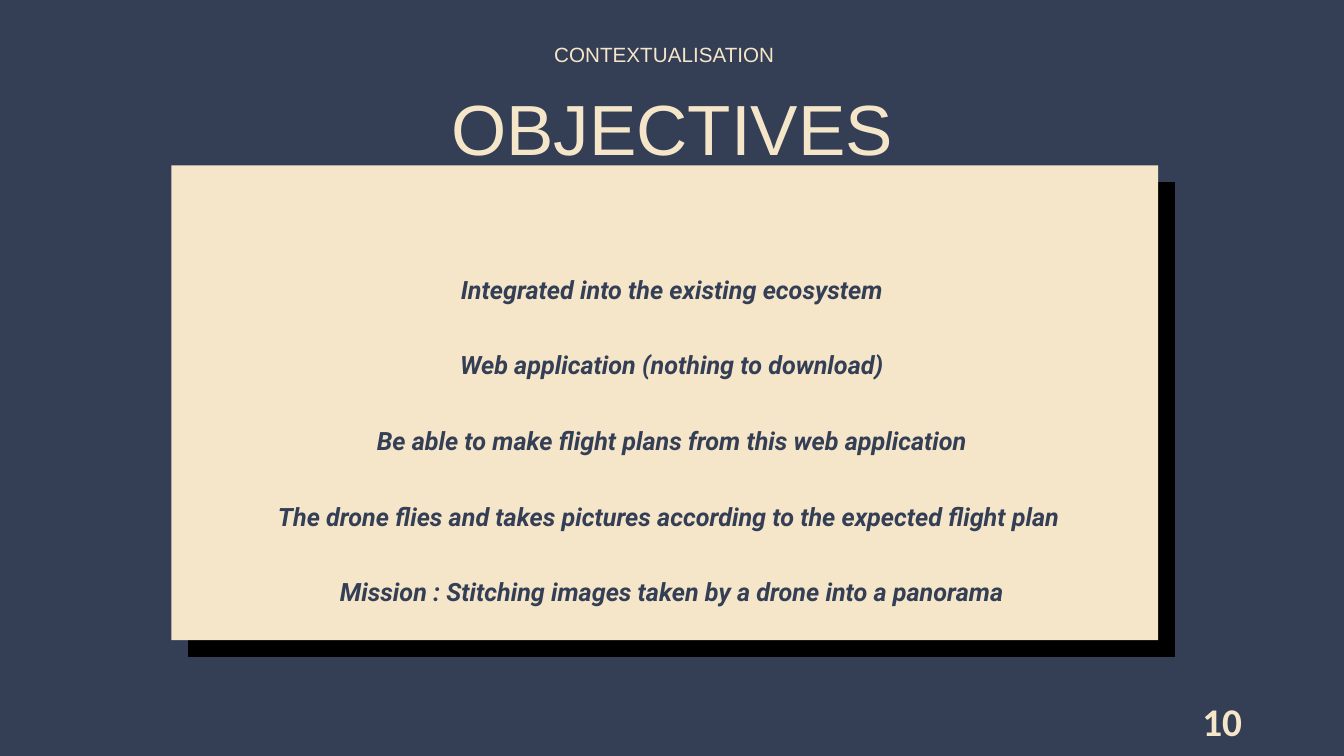
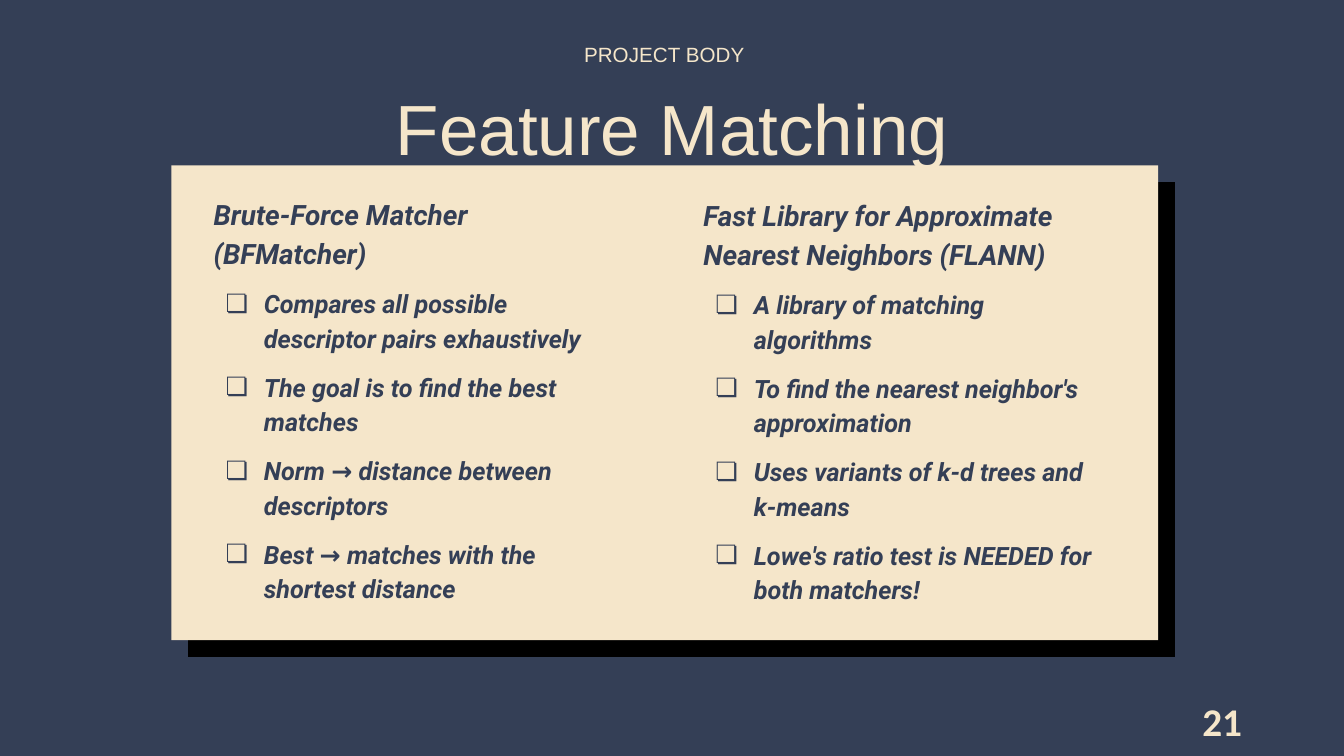
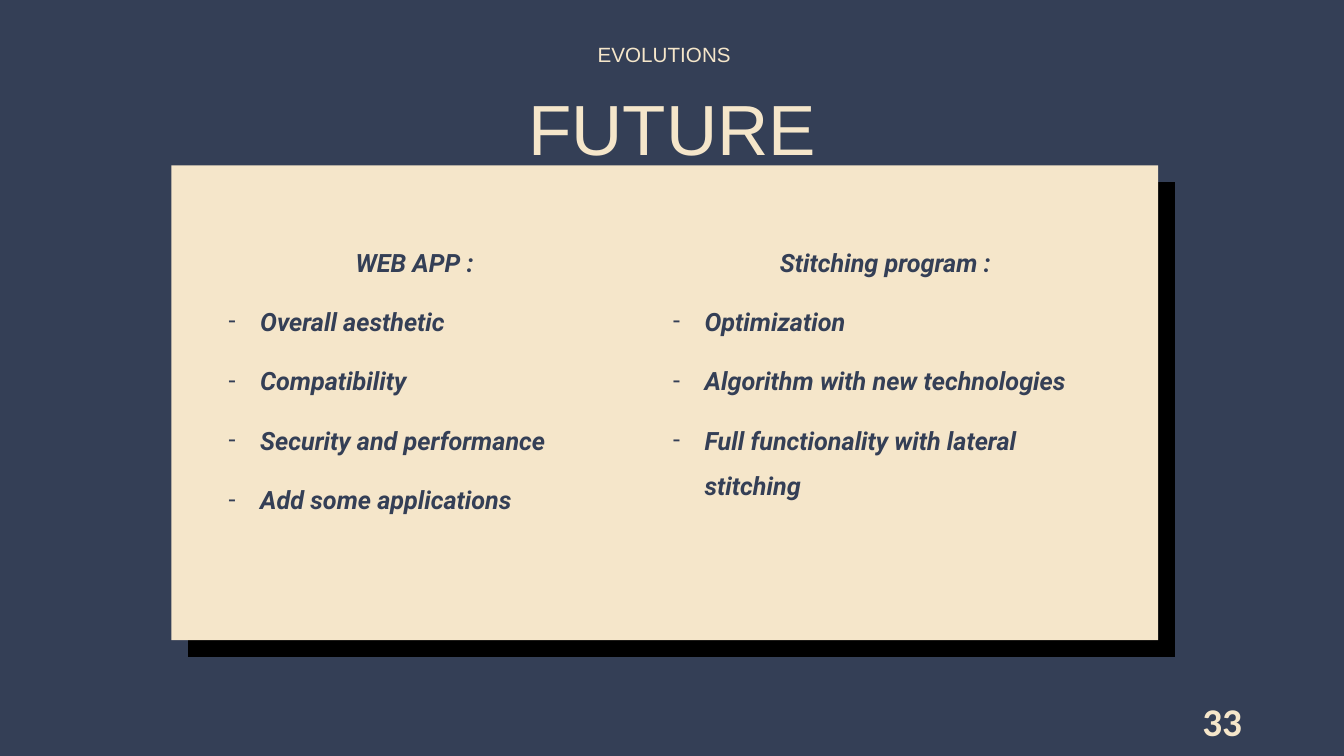
from dataclasses import dataclass

from lxml.etree import SubElement
from pptx import Presentation
from pptx.dml.color import RGBColor
from pptx.enum.shapes import MSO_SHAPE as Preset
from pptx.enum.text import MSO_ANCHOR as Anchor, MSO_AUTO_SIZE as AutoSize, PP_ALIGN as Align
from pptx.oxml.ns import qn
from pptx.util import Pt


@dataclass(frozen=True)
class Theme:
    """Colours, fonts and type sizes of the deck."""
    navy: str = "343F56"
    cream: str = "F5E6CA"
    shade: str = "000000"
    display: str = "Arial"
    body: str = "Roboto"
    number: str = "Calibri"
    title_size: float = 50.7
    section_size: float = 14.7
    heading_size: float = 20
    body_size: float = 18
    number_size: float = 28


@dataclass(frozen=True)
class ListStyle:
    """Look of a headed list column."""
    bullet: str
    left: float
    hanging: float
    line_spacing: float
    heading_size: float
    heading_align: Align
    grow: bool


class Deck:
    """Presentation with its theme and current page."""

    def __init__(self, theme):
        """Start an empty widescreen deck."""
        self.theme = theme
        self.deck = Presentation()
        self.deck.slide_width = Pt(960)
        self.deck.slide_height = Pt(540)
        self.page = None

    def add_page(self, number, section, title):
        """Add a page with its number, title, section name and panel."""
        theme = self.theme
        self.page = self.deck.slides.add_slide(self.deck.slide_layouts[6])
        fill = self.page.background.fill
        fill.solid()
        fill.fore_color.rgb = RGBColor.from_string(theme.navy)
        frame = self.add_box(678.24, 500.4, 216, 28.8, (7.2, 3.6))
        frame.vertical_anchor = Anchor.MIDDLE
        self.add_para(frame, str(number), theme.number, theme.number_size,
                      theme.cream, Align.RIGHT, bold=True)
        for text, size, place in (
            (title, theme.title_size, (145.44, 36, 669.6, 60.5)),
            (section, theme.section_size, (361.44, 23.04, 226.08, 18)),
        ):
            frame = self.add_box(*place, (0, 0), grow=True)
            self.add_para(frame, text, theme.display, size, theme.cream,
                          Align.CENTER, line_spacing=1.4)
        for offset, colour in ((12, theme.shade), (0, theme.cream)):
            self.add_panel(122.4 + offset, 118.08 + offset, 704.88, 339.12, colour)

    def add_panel(self, left, top, width, height, colour):
        """Add a plain filled rectangle."""
        panel = self.page.shapes.add_shape(
            Preset.RECTANGLE, Pt(left), Pt(top), Pt(width), Pt(height))
        panel.shadow.inherit = False
        panel.fill.solid()
        panel.fill.fore_color.rgb = RGBColor.from_string(colour)
        panel.line.fill.background()

    def add_box(self, left, top, width, height, insets=(7.2, 3.6), grow=False):
        """Add a wrapping text box and return its text frame."""
        box = self.page.shapes.add_textbox(Pt(left), Pt(top), Pt(width), Pt(height))
        frame = box.text_frame
        frame.word_wrap = True
        frame.auto_size = AutoSize.SHAPE_TO_FIT_TEXT if grow else AutoSize.NONE
        frame.margin_left = frame.margin_right = Pt(insets[0])
        frame.margin_top = frame.margin_bottom = Pt(insets[1])
        return frame

    def add_para(self, frame, text, font, size, colour, align, bold=False,
                 italic=False, line_spacing=None, space_before=None):
        """Write a paragraph in the first free place and return it."""
        para = frame.add_paragraph() if frame.text else frame.paragraphs[0]
        para.text = text
        para.alignment = align
        if line_spacing:
            para.line_spacing = line_spacing
        if space_before:
            para.space_before = Pt(space_before)
        for span in para.runs:
            span.font.name = font
            span.font.size = Pt(size)
            span.font.bold = bold
            span.font.italic = italic
            span.font.color.rgb = RGBColor.from_string(colour)
        return para

    def add_body(self, frame, text, size, align, line_spacing, space_before=None):
        """Write a paragraph in the bold italic body style."""
        return self.add_para(frame, text, self.theme.body, size, self.theme.navy, align,
                             True, True, line_spacing, space_before)

    def add_bullet(self, para, style):
        """Give a paragraph a hanging bullet."""
        props = para._p.get_or_add_pPr()
        props.set("marL", str(Pt(style.left)))
        props.set("indent", str(-Pt(style.hanging)))
        colour = SubElement(props, qn("a:buClr"))
        SubElement(colour, qn("a:srgbClr"), val=self.theme.navy)
        SubElement(props, qn("a:buFont"), typeface=self.theme.body)
        SubElement(props, qn("a:buChar"), char=style.bullet)

    def add_statements(self, place, statements):
        """Add centred, widely spaced lines."""
        frame = self.add_box(*place, grow=True)
        for text in statements:
            self.add_body(frame, text, self.theme.body_size, Align.CENTER, 2.5)

    def add_column(self, place, style, heading, items):
        """Add a heading with a bulleted list below it."""
        frame = self.add_box(*place, grow=style.grow)
        self.add_body(frame, heading, style.heading_size, style.heading_align,
                      style.line_spacing)
        for text in items:
            para = self.add_body(frame, text, self.theme.body_size, Align.LEFT,
                                 style.line_spacing, 10)
            self.add_bullet(para, style)

    def save(self):
        """Save the finished deck."""
        self.deck.save("out.pptx")


def main():
    """Build the three pages."""
    theme = Theme()
    deck = Deck(theme)
    boxed = ListStyle("❏", 36, 27.36, 1.15, theme.heading_size, Align.LEFT, False)
    dashed = ListStyle("-", 22.5, 22.5, 1.5, theme.body_size, Align.CENTER, True)

    deck.add_page(10, "CONTEXTUALISATION", "OBJECTIVES")
    deck.add_statements((156.24, 159.84, 647.28, 301.68), (
        "Integrated into the existing ecosystem",
        "Web application (nothing to download)",
        "Be able to make flight plans from this web application",
        "The drone flies and takes pictures according to the expected flight plan ",
        "Mission : Stitching images taken by a drone into a panorama",
    ))

    deck.add_page(21, "PROJECT BODY", "Feature Matching")
    deck.add_column((145.44, 133.92, 293.04, 272.16), boxed,
                    "Brute-Force Matcher (BFMatcher)", (
        "Compares all possible descriptor pairs exhaustively",
        "The goal is to find the best matches",
        "Norm → distance between descriptors",
        "Best → matches with the shortest distance",
    ))
    deck.add_column((495.36, 134.64, 293.04, 286.56), boxed,
                    "Fast Library for Approximate Nearest Neighbors (FLANN)", (
        "A library of matching algorithms",
        "To find the nearest neighbor's approximation",
        "Uses variants of k-d trees and k-means",
        "Lowe's ratio test is NEEDED for both matchers!",
    ))

    deck.add_page(33, "EVOLUTIONS", "FUTURE")
    deck.add_column((156.24, 162, 284.4, 200.16), dashed, "WEB APP : ", (
        "Overall aesthetic",
        "Compatibility",
        "Security and performance",
        "Add some applications",
    ))
    deck.add_column((473.76, 162, 321.84, 190.08), dashed, "Stitching program : ", (
        "Optimization",
        "Algorithm with new technologies",
        "Full functionality with lateral stitching",
    ))
    deck.save()


if __name__ == "__main__":
    main()
